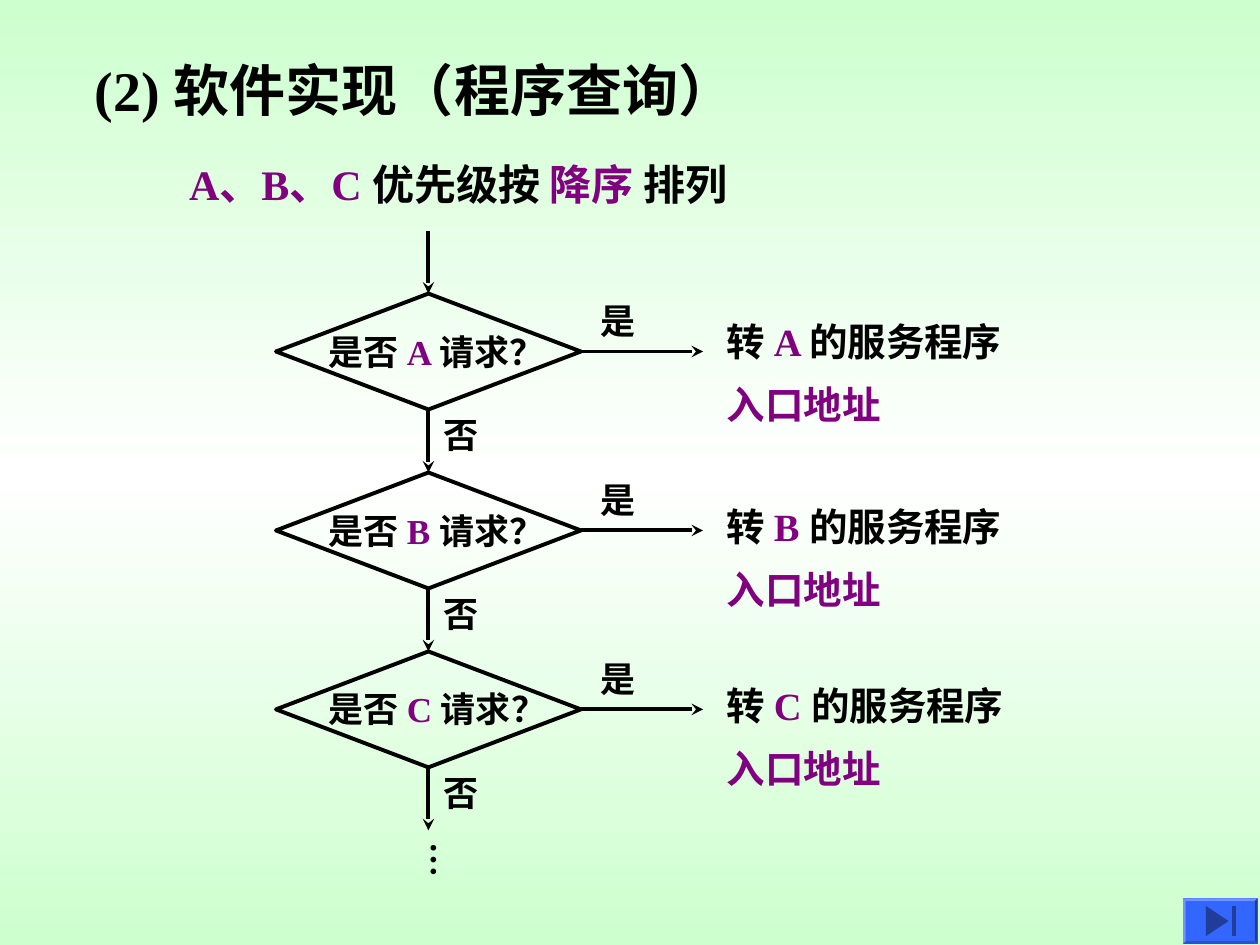
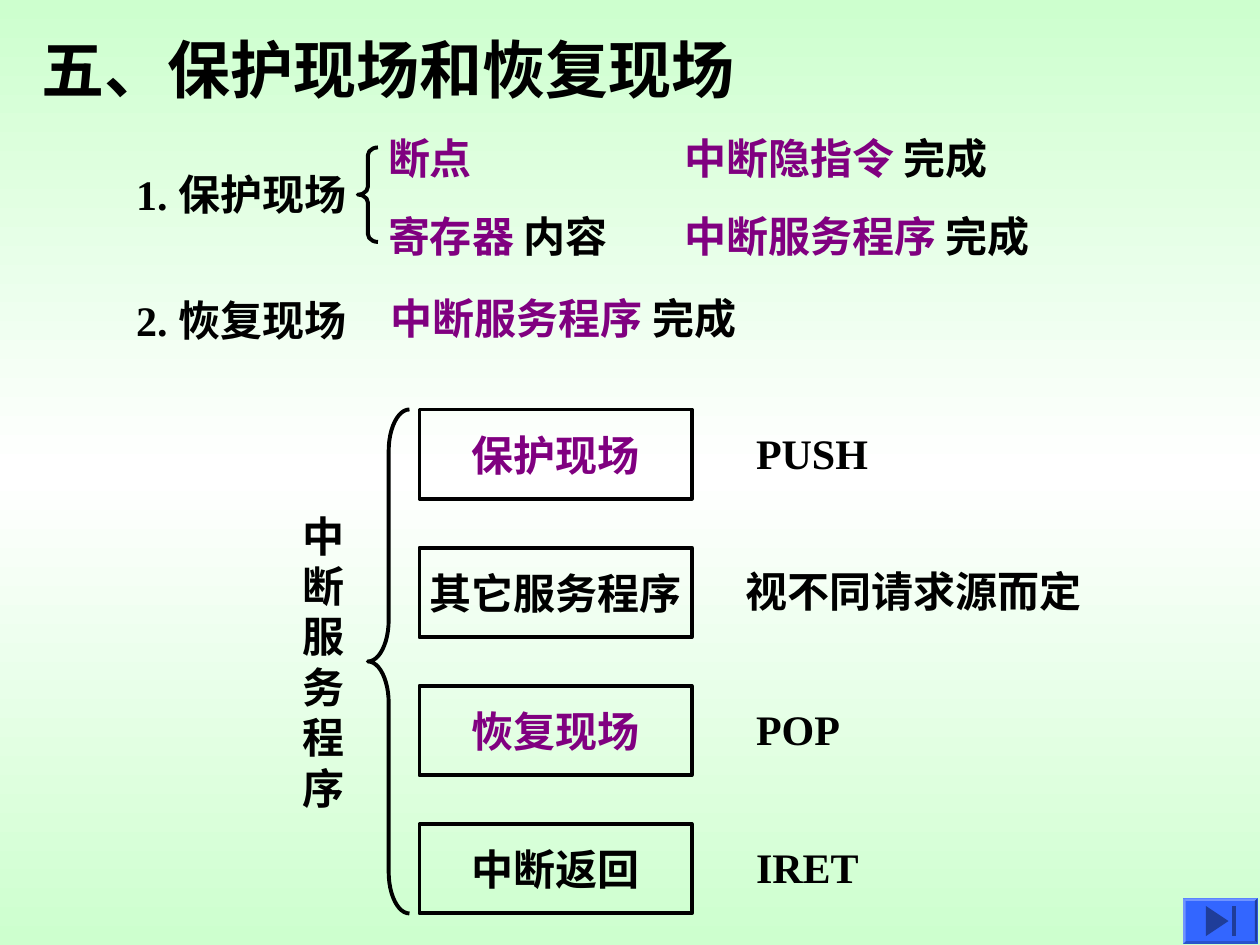
from copy import deepcopy

from lxml.etree import SubElement
from pptx import Presentation
from pptx.dml.color import RGBColor
from pptx.enum.shapes import MSO_CONNECTOR, MSO_SHAPE
from pptx.enum.text import MSO_ANCHOR, PP_ALIGN
from pptx.oxml.ns import qn
from pptx.util import Inches, Pt

BLACK = RGBColor(0x00, 0x00, 0x00)
PURPLE = RGBColor(0x80, 0x00, 0x80)
MINT = RGBColor(0xCD, 0xFF, 0xCE)
WHITE = RGBColor(0xFF, 0xFF, 0xFF)
BUTTON_BLUE = RGBColor(0x33, 0x66, 0xFF)
BUTTON_LIGHT = RGBColor(0x70, 0x94, 0xFF)
BUTTON_SHADE = RGBColor(0x29, 0x52, 0xCC)
BUTTON_DARK = RGBColor(0x1F, 0x3D, 0x99)

FONT = "Times New Roman"
LINE_WIDTH = Pt(2.25)
FLUSH = (0, 0.05, 0, 0.05)
PADDED = (0.1, 0.05, 0.1, 0.05)
SPACED = {"space_before": Pt(12.5)}
CLOSE_LINES = {"space_before": Pt(13.8), "line_spacing": 0.85}


def inches(values):
    return [Inches(value) for value in values]


def set_all(target, values):
    for name, value in values.items():
        setattr(target, name, value)


def write(shape, paragraphs, size, insets, wrap, anchor, formats):
    frame = shape.text_frame
    sides = ("margin_left", "margin_top", "margin_right", "margin_bottom")
    set_all(frame, dict(zip(sides, inches(insets))))
    set_all(frame, {"word_wrap": wrap, "vertical_anchor": anchor})
    for index, spans in enumerate(paragraphs):
        para = frame.paragraphs[0] if index == 0 else frame.add_paragraph()
        set_all(para, formats)
        for text, color in spans:
            span = para.add_run()
            span.text = text
            set_all(span.font, {"name": FONT, "size": Pt(size), "bold": True})
            span.font.color.rgb = color


def add_line_text(page, box, spans, size=24):
    shape = page.shapes.add_textbox(*inches(box))
    write(shape, [spans], size, FLUSH, False, MSO_ANCHOR.MIDDLE, {})


def add_block_text(page, box, paragraphs, size, insets=PADDED, wrap=True, formats=None):
    shape = page.shapes.add_textbox(*inches(box))
    write(shape, paragraphs, size, insets, wrap, MSO_ANCHOR.TOP, formats or {})
    return shape


def add_outline(page, kind, box):
    shape = page.shapes.add_shape(kind, *inches(box))
    shape.shadow.inherit = False
    shape.fill.background()
    shape.line.color.rgb = BLACK
    shape.line.width = LINE_WIDTH
    return shape


def add_brace(page, box, curve):
    brace = add_outline(page, MSO_SHAPE.LEFT_BRACE, box)
    brace.adjustments[0] = curve


def add_arrow(page, start, end, source=None, target=None):
    arrow = page.shapes.add_connector(MSO_CONNECTOR.STRAIGHT, *inches(start + end))
    if source:
        arrow.begin_connect(*source)
    if target:
        arrow.end_connect(*target)
    arrow.line.color.rgb = BLACK
    arrow.line.width = LINE_WIDTH
    SubElement(arrow.line._get_or_add_ln(), qn("a:tailEnd"), type="stealth")
    SubElement(arrow._element.spPr, qn("a:effectLst"))


def add_polygon(page, points, color):
    start, *others = [tuple(inches(point)) for point in points]
    builder = page.shapes.build_freeform(*start)
    builder.add_line_segments(others)
    polygon = builder.convert_to_shape()
    polygon.shadow.inherit = False
    polygon.fill.solid()
    polygon.fill.fore_color.rgb = color
    polygon.line.fill.background()


def add_end_button(page, box):
    left, top, width, height = box
    right, bottom, bevel = left + width, top + height, 0.02
    outer = [(left, top), (right, top), (right, bottom), (left, bottom)]
    inner = [
        (left + bevel, top + bevel), (right - bevel, top + bevel),
        (right - bevel, bottom - bevel), (left + bevel, bottom - bevel),
    ]
    add_polygon(page, outer, BUTTON_BLUE)
    colors = (BUTTON_LIGHT, BUTTON_DARK, BUTTON_SHADE, BUTTON_LIGHT)
    for side, color in enumerate(colors):
        after = (side + 1) % 4
        add_polygon(page, [outer[side], outer[after], inner[after], inner[side]], color)
    middle = top + height / 2
    icon_top, icon_bottom = middle - 0.12, middle + 0.12
    triangle = [(left + 0.36, middle), (left + 0.18, icon_bottom), (left + 0.18, icon_top)]
    bar = [
        (left + 0.39, icon_top), (left + 0.39, icon_bottom),
        (left + 0.42, icon_bottom), (left + 0.42, icon_top),
    ]
    for points in (triangle, bar):
        add_polygon(page, points, BUTTON_DARK)


def set_background(deck):
    master = deck.slide_master
    fill = master.background.fill
    fill.gradient()
    fill.gradient_angle = 270
    stop_list = master.element.find(".//" + qn("a:gsLst"))
    stop_list.insert(1, deepcopy(stop_list[0]))
    for stop, position, color in zip(fill.gradient_stops, (0, 0.5, 1), (MINT, WHITE, MINT)):
        stop.position = position
        stop.color.rgb = color


def add_page(deck, title, title_box, title_size):
    page = deck.slides.add_slide(deck.slide_layouts[6])
    add_line_text(page, title_box, [(title, BLACK)], title_size)
    add_end_button(page, (9.39, 7.13, 0.59, 0.36))
    return page


def add_query(page, box, device, service_offset):
    left, top, width, height = box
    right, middle = left + width, top + height / 2
    diamond = add_outline(page, MSO_SHAPE.DIAMOND, box)
    question = [("是否 ", BLACK), (device + " ", PURPLE), ("请求？", BLACK)]
    add_block_text(page, (left + 0.42, top + 0.29, 2.2, 0.39), [question], 20,
                   (0, 0, 0.1, 0.05), formats=SPACED)
    add_arrow(page, (right, middle), (right + 0.97, middle), source=(diamond, 3))
    for answer, x, y in (("是", right + 0.06, top), ("否", left + 1.23, top + height - 0.02)):
        add_block_text(page, (x, y, 0.67, 0.44), [[(answer, BLACK)]], 20, formats=SPACED)
    service = [
        [("转 ", BLACK), (device + " ", PURPLE), ("的服务程序", BLACK)],
        [("入口地址", PURPLE)],
    ]
    add_block_text(page, (right + 1.06, top + service_offset, 3.83, 0.92), service, 22,
                   formats=CLOSE_LINES)
    return diamond


def add_query_chart(page, box):
    left, top, width, height = box
    pitch, gap, center = 1.42, 0.5, left + width / 2
    previous = None
    for index, (device, offset) in enumerate((("A", 0.2), ("B", 0.25), ("C", 0.25))):
        row_top = top + index * pitch
        diamond = add_query(page, (left, row_top, width, height), device, offset)
        source = (previous, 2) if previous else None
        add_arrow(page, (center, row_top - gap), (center, row_top), source, (diamond, 0))
        previous = diamond
    bottom = row_top + height
    add_arrow(page, (center, bottom), (center, bottom + gap), source=(previous, 2))
    dots = add_block_text(page, (left + 1.03, bottom + gap, 0.53, 0.38), [[("…", BLACK)]], 20,
                          (0.05, 0.1, 0.05, 0.1), False)
    dots.text_frame._txBody.bodyPr.set("vert", "eaVert")


def build_software_page(deck):
    page = add_page(deck, "(2) 软件实现（程序查询）", (0.75, 0.42, 5.75, 0.58), 32)
    order = [("A、B、C ", PURPLE), ("优先级按 ", BLACK), ("降序 ", PURPLE), ("排列", BLACK)]
    add_line_text(page, (1.5, 1.17, 5.75, 0.58), order)
    add_query_chart(page, (2.19, 2.33, 2.42, 0.92))


def add_summary(page, box):
    left, top, width, height = box
    done = ("完成", BLACK)
    entries = (
        (0, 0.25, [("1. 保护现场", BLACK)]),
        (0, 1.25, [("2. 恢复现场", BLACK)]),
        (2, -0.04, [("断点", PURPLE)]),
        (2, 0.58, [("寄存器 ", PURPLE), ("内容", BLACK)]),
        (4.35, -0.04, [("中断隐指令 ", PURPLE), done]),
        (4.35, 0.58, [("中断服务程序 ", PURPLE), done]),
        (2.02, 1.23, [("中断服务程序 ", PURPLE), done]),
    )
    for x, y, spans in entries:
        add_line_text(page, (left + x, top + y, width - x, 0.58), spans)
    add_brace(page, (left + 1.76, top + 0.17, 0.16, 0.75), 0.39)


def add_routine(page, box):
    left, top, width, height = box
    letters = [[(letter, BLACK)] for letter in "中断服务程序"]
    add_block_text(page, (left, top + 0.75, 0.53, 2.5), letters, 24, wrap=False)
    add_brace(page, (left + 0.62, top, 0.33, height), 1)
    steps = (
        ("保护现场", PURPLE, "PUSH", 3.7),
        ("其它服务程序", BLACK, "视不同请求源而定", 3.62),
        ("恢复现场", PURPLE, "POP", 3.7),
        ("中断返回", BLACK, "IRET", 3.7),
    )
    step_height = 0.71
    pitch = (height - step_height) / (len(steps) - 1)
    for index, (step, color, note, note_offset) in enumerate(steps):
        step_top = top + index * pitch
        step_box = (left + 1.03, step_top, 2.16, step_height)
        rectangle = add_outline(page, MSO_SHAPE.RECTANGLE, step_box)
        write(rectangle, [[(step, color)]], 24, FLUSH, False, MSO_ANCHOR.MIDDLE,
              {"alignment": PP_ALIGN.CENTER})
        note_box = (left + note_offset, step_top + 0.05, width - note_offset, 0.58)
        add_line_text(page, note_box, [(note, BLACK)])


def build_context_page(deck):
    page = add_page(deck, "五、保护现场和恢复现场", (0.33, 0.25, 6.92, 0.58), 36)
    add_summary(page, (1.08, 1, 8.5, 1.83))
    add_routine(page, (2.3, 3.25, 6.45, 4))


def main():
    deck = Presentation()
    set_all(deck, {"slide_width": Inches(10), "slide_height": Inches(7.5)})
    set_background(deck)
    build_software_page(deck)
    build_context_page(deck)
    deck.save("out.pptx")


if __name__ == "__main__":
    main()
